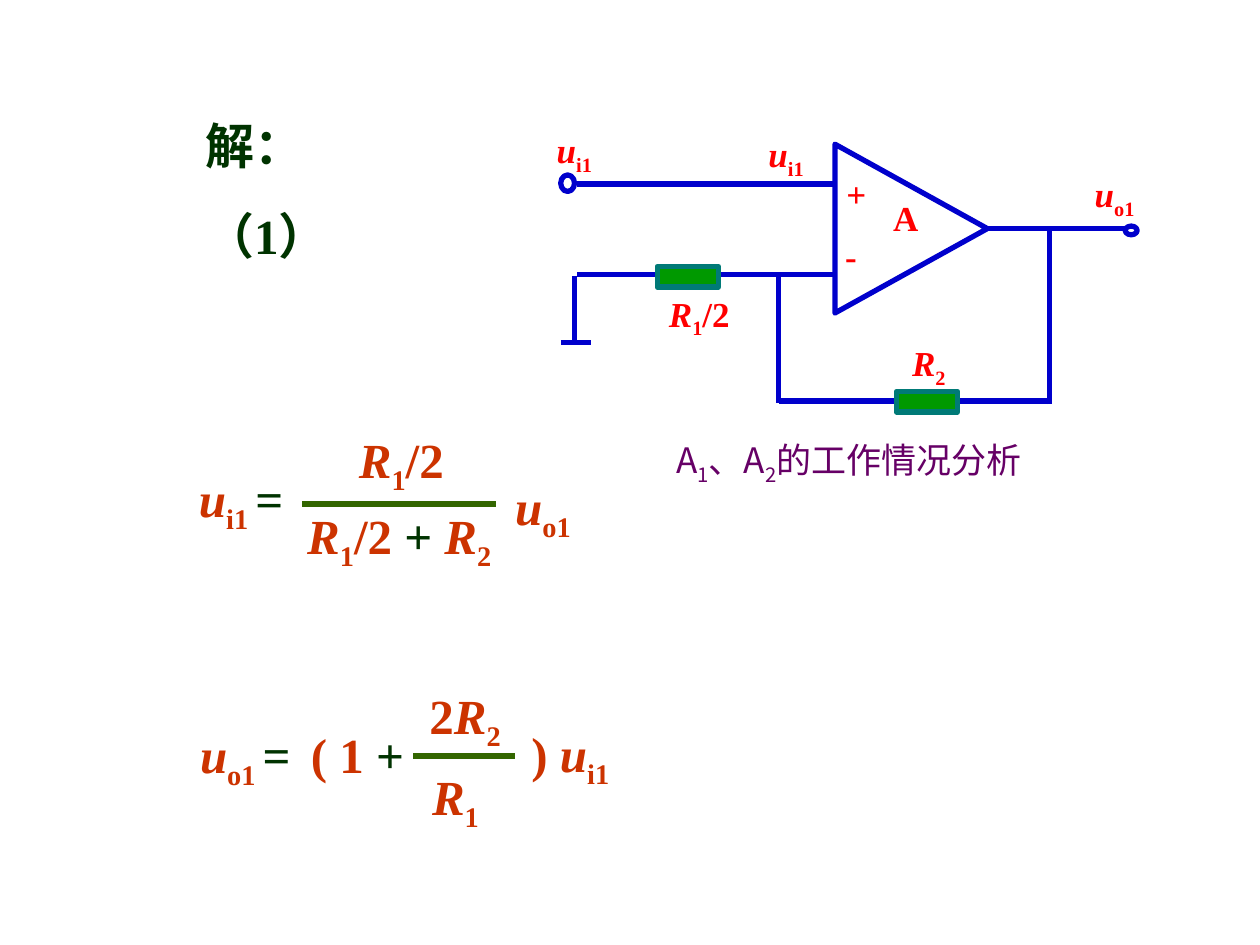
from dataclasses import dataclass
from lxml.etree import SubElement
from pptx import Presentation
from pptx.dml.color import RGBColor as RGB
from pptx.enum.shapes import MSO_CONNECTOR as LINK, MSO_SHAPE as SHAPE
from pptx.enum.text import MSO_AUTO_SIZE as FIT
from pptx.oxml.ns import qn
from pptx.util import Pt


@dataclass(frozen=True)
class Theme:
    dark: str = "003300"
    rust: str = "CC3300"
    bar: str = "336600"
    wire: str = "0000CC"
    red: str = "FF0000"
    plum: str = "660066"
    body: str = "009900"
    edge: str = "007A77"
    large: int = 28
    small: int = 20
    line: int = 3
    latin: str = "Times New Roman"
    cjk: str = "Noto Sans CJK SC"


T = Theme()
ITAL, SUB, OPER = "ital", "sub", "oper"


def write(shapes, box, rows, size, color, font=T.latin, bold=True):
    """Add a text box; each row is a list of (text, style) runs."""
    area = shapes.add_textbox(*map(Pt, box))
    frame = area.text_frame
    frame.word_wrap = True
    frame.auto_size = FIT.SHAPE_TO_FIT_TEXT
    for i, row in enumerate(rows):
        para = frame.add_paragraph() if i else frame.paragraphs[0]
        if i:
            para.space_before = Pt(17.5)
        for text, style in row:
            run = para.add_run()
            run.text = text
            face = run.font
            face.size, face.name, face.bold = Pt(size), font, bold
            face.italic = style == ITAL
            face.color.rgb = RGB.from_string(T.dark if style == OPER else color)
            props = run._r.get_or_add_rPr()
            SubElement(props, qn("a:ea")).set("typeface", T.cjk)
            if style == SUB:
                props.set("baseline", "-25000")


def draw(shapes, ends, color):
    """Add a straight line from (x1, y1) to (x2, y2)."""
    link = shapes.add_connector(LINK.STRAIGHT, *map(Pt, ends))
    link.line.color.rgb = RGB.from_string(color)
    link.line.width = Pt(T.line)
    SubElement(link._element.spPr, qn("a:effectLst"))


deck = Presentation()
deck.slide_width, deck.slide_height = Pt(720), Pt(540)
slide = deck.slides.add_slide(deck.slide_layouts[6])

# Heading
write(slide.shapes, (110.2, 62.6, 212, 92), [[("解：", "")], [("（1）", "")]],
      T.large, T.dark)

# Formulas: fraction bars and terms
ui = [("u", ITAL), ("i1", SUB)]
uo = [("u", ITAL), ("o1", SUB)]
r1 = [("R", ITAL), ("1", SUB)]
r2 = [("R", ITAL), ("2", SUB)]
half = r1 + [("/2", "")]
formulas = [
    ((172.8, 288, 283.7, 288), [
        ((106.6, 264.2, 74, 45), [("u", ITAL), ("i1 ", SUB), ("=", OPER)]),
        ((198, 241.9, 70, 45), half),
        ((287.3, 268.6, 52, 45), uo),
        ((168.5, 285.1, 130, 45), r1 + [("/2 ", ""), ("+ ", OPER)] + r2),
    ]),
    ((236.2, 432, 294.5, 432), [
        ((107.2, 410.4, 76, 45), [("u", ITAL), ("o1 ", SUB), ("=", OPER)]),
        ((170.6, 410.4, 74, 41), [("( 1 ", ""), ("+", OPER)]),
        ((239.8, 434.2, 50, 45), r1),
        ((238.3, 388.1, 60, 45), [("2", "")] + r2),
        ((296.6, 409.7, 68, 45), [(") ", "")] + ui),
    ]),
]
for bar, terms in formulas:
    group = slide.shapes.add_group_shape().shapes
    draw(group, bar, T.bar)
    for box, runs in terms:
        write(group, box, [runs], T.large, T.rust)

# Circuit: wires first, then parts, then labels
group = slide.shapes.add_group_shape().shapes
wires = [
    (329.8, 105.1, 475.9, 105.1),
    (563.4, 130.5, 644.4, 130.5),
    (445, 229.2, 601, 229.2),
    (599.8, 231, 599.8, 130.5),
    (445, 230.4, 445, 158.4),
    (329.8, 157, 477, 157),
    (328.5, 157.7, 328.5, 195.8),
    (320.5, 195.8, 338, 195.8),
]
for ends in wires:
    draw(group, ends, T.wire)

parts = [
    (SHAPE.ISOSCELES_TRIANGLE, (472.4, 87.1, 96.5, 87.1), 90, None, T.wire),
    (SHAPE.OVAL, (320.4, 100, 7.9, 9.4), 0, None, T.wire),
    (SHAPE.OVAL, (643, 129.2, 6.8, 5), 0, None, T.wire),
    (SHAPE.RECTANGLE, (375.5, 152.3, 35, 11.8), 0, T.body, T.edge),
    (SHAPE.RECTANGLE, (512.2, 223.7, 35, 11.8), 0, T.body, T.edge),
]
for kind, box, turn, fill, edge in parts:
    part = group.add_shape(kind, *map(Pt, box))
    part.shadow.inherit = False
    part.rotation = turn
    if fill:
        part.fill.solid()
        part.fill.fore_color.rgb = RGB.from_string(fill)
    else:
        part.fill.background()
    part.line.color.rgb = RGB.from_string(edge)
    part.line.width = Pt(T.line)

labels = [
    ((618.5, 95, 50, 34), uo),
    ((475.9, 130.3, 37, 32), [("-", "")]),
    ((503.3, 108.7, 41, 32), [("A", "")]),
    ((476.6, 95, 28, 32), [("+", "")]),
    ((514.1, 191.5, 50, 34), r2),
    ((311, 69.8, 40, 34), ui),
    ((375.1, 163.4, 54, 34), half),
    ((432, 72, 40, 34), ui),
]
for box, runs in labels:
    write(group, box, [runs], T.small, T.red)

title = [("A", ""), ("1", SUB), ("、A", ""), ("2", SUB), ("的工作情况分析", "")]
write(group, (379.4, 247, 236, 34), [title], T.small, T.plum, T.cjk, False)

deck.save("out.pptx")
